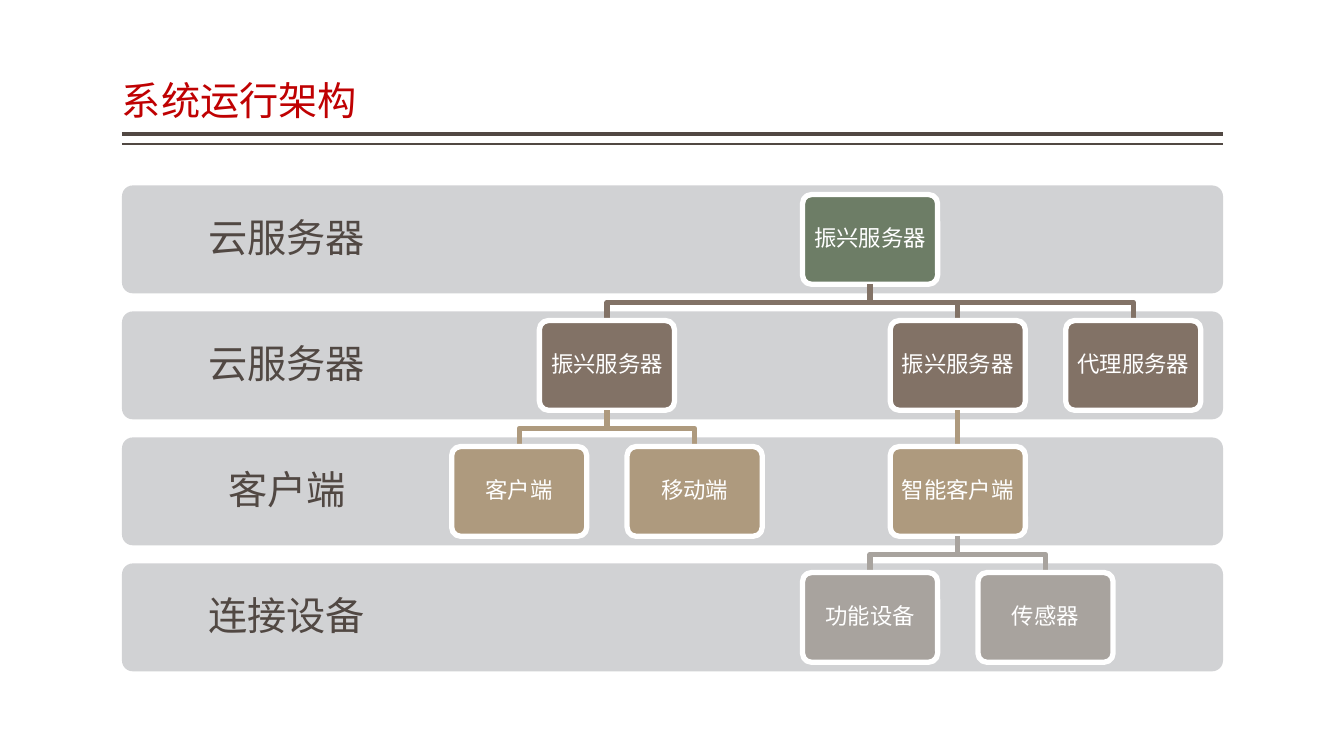
"""Build the system architecture slide: four bands with a server and client tree."""
import pptx
import pptx.util
import pptx.dml.color
import pptx.enum.shapes
import pptx.enum.text
import pptx.oxml
import pptx.oxml.ns

Inches = pptx.util.Inches
Pt = pptx.util.Pt
KIND = pptx.enum.shapes.MSO_SHAPE.ROUNDED_RECTANGLE
LINE = pptx.enum.shapes.MSO_CONNECTOR.STRAIGHT
ALIGN = pptx.enum.text.PP_ALIGN
ANCHOR = pptx.enum.text.MSO_ANCHOR
CJK = "Noto Sans CJK SC"
LATIN = "Roboto"
HUES = {
    "title": "BF0102", "dark": "514843", "band": "D1D2D4", "white": "FFFFFF",
    "green": "6D7D66", "brown": "827266", "tan": "AE9A7E", "grey": "A8A39E",
}
LEFT, WIDTH = 1.21, 10.92
TOP, STEP, HIGH = 1.84, 1.25, 1.07
BOX_W, BOX_H = 1.34, 0.89
COL_X, COL_STEP = 5.15, 0.87


def write(shape, parts, size, hue, align, pads):
    """Fill a shape with one paragraph of (text, font) parts."""
    frame = shape.text_frame
    frame.word_wrap = True
    frame.auto_size = pptx.enum.text.MSO_AUTO_SIZE.NONE
    frame.margin_left, frame.margin_top, frame.margin_right, frame.margin_bottom = map(Inches, pads)
    para = frame.paragraphs[0]
    para.alignment = align
    para.line_spacing = 0.9
    for text, face in parts:
        run = para.add_run()
        run.text = text
        run.font.size = Pt(size)
        run.font.name = face
        run.font.color.rgb = pptx.dml.color.RGBColor.from_string(HUES[hue])
        east = pptx.oxml.parse_xml(f'<a:ea {pptx.oxml.ns.nsdecls("a")} typeface="{CJK}"/>')
        run.font._element.find(pptx.oxml.ns.qn("a:latin")).addnext(east)


def stroke(line, hue, width):
    """Colour a line and set its width in points."""
    line.color.rgb = pptx.dml.color.RGBColor.from_string(HUES[hue])
    line.width = Pt(width)


deck = pptx.Presentation()
deck.slide_width, deck.slide_height = Inches(13.33), Inches(7.5)
slide = deck.slides.add_slide(deck.slide_layouts[5])
shapes = slide.shapes

title = shapes.title
title.left, title.top, title.width, title.height = map(Inches, (LEFT, 0.08, WIDTH, 1.2))
write(title, [("系统运行架构", CJK)], 28, "title", ALIGN.LEFT, (0, 0.05, 0, 0.05))
title.text_frame.vertical_anchor = ANCHOR.BOTTOM

for y, width in ((1.33, 3), (1.43, 1)):
    rule = shapes.add_connector(LINE, Inches(LEFT), Inches(y), Inches(LEFT + WIDTH), Inches(y))
    stroke(rule.line, "dark", width)
    rule._element.spPr.append(pptx.oxml.parse_xml(f'<a:effectLst {pptx.oxml.ns.nsdecls("a")}/>'))

for row, label in enumerate(("云服务器", "云服务器", "客户端", "连接设备")):
    band = shapes.add_shape(KIND, Inches(LEFT), Inches(TOP + row * STEP), Inches(WIDTH), Inches(HIGH))
    band.adjustments[0] = 0.1
    band.shadow.inherit = False
    band.fill.solid()
    band.fill.fore_color.rgb = pptx.dml.color.RGBColor.from_string(HUES["band"])
    band.line.fill.background()
    write(band, [(label, LATIN)], 28, "dark", ALIGN.CENTER, (0.19, 0.19, 7.84, 0.19))
    band.text_frame.vertical_anchor = ANCHOR.MIDDLE

server = [("振兴", CJK), ("服务器", LATIN)]
nodes = [
    ("root", None, 0, 4, server),
    ("main", "root", 1, 1, server),
    ("client", "main", 2, 0, [("客户端", LATIN)]),
    ("mobile", "main", 2, 2, [("移动端", LATIN)]),
    ("second", "root", 1, 5, server),
    ("smart", "second", 2, 5, [("智能客户端", LATIN)]),
    ("device", "smart", 3, 4, [("功能设备", LATIN)]),
    ("sensor", "smart", 3, 6, [("传感器", LATIN)]),
    ("proxy", "root", 1, 7, [("代理服务器", LATIN)]),
]
tones = ("green", "brown", "tan", "grey")
boxes = {}
for name, parent, row, col, parts in nodes:
    x = Inches(COL_X + col * COL_STEP)
    y = Inches(TOP + 0.09 + row * STEP)
    link = None
    if parent:
        base = boxes[parent]
        from_x = base.left + base.width // 2
        from_y = base.top + base.height
        if abs(from_x - x) < Inches(0.01):
            link = shapes.add_connector(LINE, from_x, from_y, x, y)
            link.begin_connect(base, 2)
            link._element.spPr.append(pptx.oxml.parse_xml(f'<a:effectLst {pptx.oxml.ns.nsdecls("a")}/>'))
            stroke(link.line, tones[row], 3.78)
        else:
            mid = (from_y + y) // 2
            pen = shapes.build_freeform(from_x, from_y)
            pen.add_line_segments([(from_x, mid), (x, mid), (x, y)], close=False)
            bend = pen.convert_to_shape()
            bend.shadow.inherit = False
            bend.fill.background()
            stroke(bend.line, tones[row], 3.78)
    box = shapes.add_shape(KIND, x - Inches(BOX_W / 2), y, Inches(BOX_W), Inches(BOX_H))
    box.adjustments[0] = 0.1
    box.shadow.inherit = False
    box.fill.solid()
    box.fill.fore_color.rgb = pptx.dml.color.RGBColor.from_string(HUES[tones[row]])
    stroke(box.line, "white", 3.78)
    write(box, parts, 16, "white", ALIGN.CENTER, (0.07,) * 4)
    box.text_frame.vertical_anchor = ANCHOR.MIDDLE
    boxes[name] = box
    if link:
        link.end_connect(box, 0)

deck.save("out.pptx")
